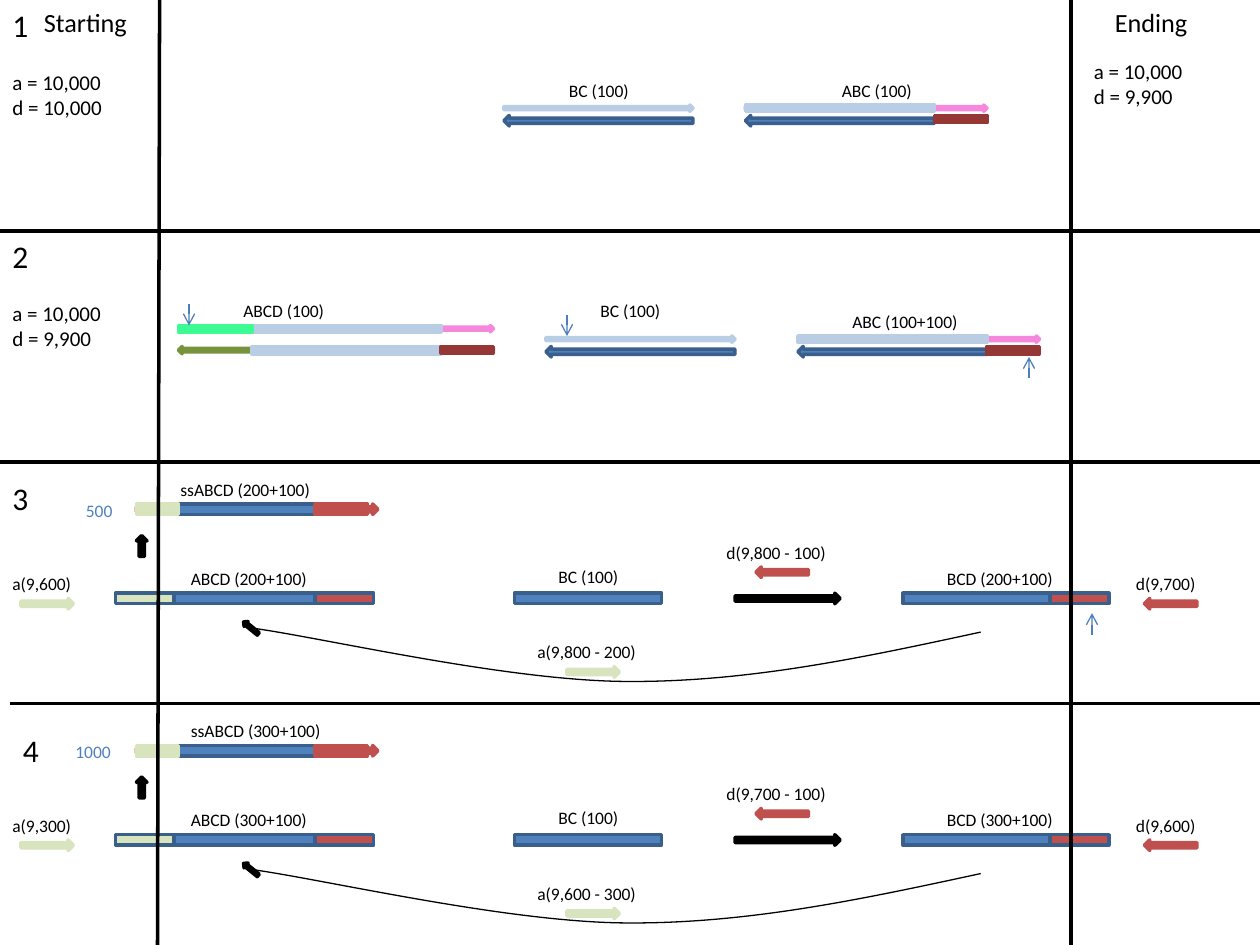
from lxml.etree import SubElement
from pptx import Presentation
from pptx.dml.color import RGBColor
from pptx.enum.shapes import MSO_CONNECTOR, MSO_SHAPE as Geo
from pptx.enum.text import MSO_AUTO_SIZE
from pptx.oxml.ns import qn
from pptx.util import Cm, Pt

STEP = 2.54 / 12
WIDTH, HEIGHT = 120, 90
STRAND = 18
TAIL = 5
BLACK, BLUE, NAVY = "000000", "4F81BD", "3A5F8C"
RED, MAROON, PINK = "C0504D", "953735", "F587DD"
PALE_BLUE, PALE_GREEN, GREEN, OLIVE = "B9CDE5", "D7E4BD", "3BFB92", "77933C"
MARKER = "4B7EBC"


def grid(steps):
    return Cm(steps * STEP)


def color(value):
    return RGBColor.from_string(value)


def bar(slide, geometry, left, top, width, fill, line=None, height=1.0):
    strand = slide.shapes.add_shape(
        geometry, grid(left), grid(top), grid(width), grid(height))
    strand.shadow.inherit = False
    strand.fill.solid()
    strand.fill.fore_color.rgb = color(fill)
    strand.line.color.rgb = color(line or fill)
    strand.line.width = Pt(2)
    return strand


def label(slide, text, left, top, width, size=10, ink=BLACK):
    lines = text.count("\n") + 1
    caption = slide.shapes.add_textbox(
        grid(left), grid(top), grid(width), grid(1.2 + lines * size / 5))
    frame = caption.text_frame
    frame.word_wrap = True
    frame.auto_size = MSO_AUTO_SIZE.SHAPE_TO_FIT_TEXT
    frame.text = text
    for paragraph in frame.paragraphs:
        for run in paragraph.runs:
            run.font.name = "Calibri"
            run.font.size = Pt(size)
            run.font.color.rgb = color(ink)


def rule(slide, start, end, ink=BLACK, width=2.0):
    line = slide.shapes.add_connector(
        MSO_CONNECTOR.STRAIGHT, *map(grid, start), *map(grid, end))
    line.line.color.rgb = color(ink)
    line.line.width = Pt(width)
    SubElement(line.element.spPr, qn("a:effectLst"))
    return line


def site_marker(slide, x, start, end):
    marker = rule(slide, (x, start), (x, end), MARKER, 0.75)
    SubElement(marker.line._get_or_add_ln(), qn("a:tailEnd"), type="arrow")


def return_curve(slide, left, top):
    points = [(93.4, 16.2), (82.3, 18.6), (71.2, 21), (59.5, 20.9),
              (48, 20.8), (30.6, 16.7), (23.9, 15.8)]
    corners = [(grid(left + x), grid(top + y)) for x, y in points]
    builder = slide.shapes.build_freeform(*corners[0])
    builder.add_line_segments(corners[1:], close=False)
    curve = builder.convert_to_shape()
    curve.shadow.inherit = False
    curve.fill.background()
    curve.line.color.rgb = color(BLACK)
    curve.line.width = Pt(0.75)
    outline = curve.element.find(".//" + qn("a:path"))
    segments = outline.findall(qn("a:lnTo"))
    for first in range(0, len(segments), 3):
        bezier = SubElement(outline, qn("a:cubicBezTo"))
        for segment in segments[first:first + 3]:
            bezier.append(segment[0])
            outline.remove(segment)
    head = bar(slide, Geo.RIGHT_ARROW, left + 23, top + 15.5, 1.8, BLACK, height=0.6)
    head.rotation = 219.2


def bc_duplex(slide, left, top):
    bar(slide, Geo.RIGHT_ARROW, left, top, STRAND, BLUE, PALE_BLUE, 0.6)
    bar(slide, Geo.LEFT_ARROW, left, top + 1, STRAND, BLUE, NAVY)


def abc_duplex(slide, left, top):
    bar(slide, Geo.LEFT_ARROW, left, top + 1, STRAND, BLUE, NAVY)
    bar(slide, Geo.RIGHT_ARROW, left, top, STRAND + TAIL, PINK, height=0.6)
    bar(slide, Geo.RECTANGLE, left, top, STRAND, PALE_BLUE, height=0.6)
    bar(slide, Geo.RECTANGLE, left + STRAND, top + 1, TAIL, MAROON, height=0.7)


def abcd_duplex(slide, left, top):
    core = left + 7
    bar(slide, Geo.RIGHT_ARROW, core, top, STRAND + TAIL, PINK, height=0.6)
    bar(slide, Geo.RECTANGLE, core, top, STRAND, PALE_BLUE, height=0.6)
    bar(slide, Geo.RECTANGLE, left, top, 7, GREEN, height=0.6)
    bar(slide, Geo.LEFT_ARROW, left, top + 2, 30, OLIVE, height=0.7)
    bar(slide, Geo.RECTANGLE, core, top + 2, STRAND, PALE_BLUE, height=0.7)
    bar(slide, Geo.RECTANGLE, core + STRAND, top + 2, TAIL, MAROON, height=0.6)


def first_round(slide, left, top):
    label(slide, "1", left, top, 4, 18)
    label(slide, "Starting", left + 3, top, 11, 15)
    label(slide, "Ending", left + 105, top, 11, 15)
    label(slide, "a = 10,000\nd = 10,000", left, top + 6, 15, 12)
    label(slide, "a = 10,000\nd = 9,900", left + 103, top + 5, 15, 12)
    label(slide, "BC (100)", left + 53, top + 7, 9)
    label(slide, "ABC (100)", left + 79, top + 7, 15)
    bc_duplex(slide, left + 48, top + 10)
    abc_duplex(slide, left + 71, top + 10)


def second_round(slide, left, top):
    label(slide, "2", left, top, 4, 18)
    label(slide, "a = 10,000\nd = 9,900", left, top + 6, 15, 12)
    label(slide, "ABCD (100)", left + 22, top + 6, 15)
    label(slide, "BC (100)", left + 56, top + 6, 9)
    label(slide, "ABC (100+100)", left + 80, top + 7, 16)
    abcd_duplex(slide, left + 17, top + 9)
    bc_duplex(slide, left + 52, top + 10)
    abc_duplex(slide, left + 76, top + 10)
    for x, start, end in [(18, 7, 9), (54, 8, 10), (98, 14, 12)]:
        site_marker(slide, left + x, top + start, top + end)


def cycle_round(slide, left, top, amounts):
    bars = [
        (Geo.RECTANGLE, 49, 12.5, 14, BLUE, NAVY),
        (Geo.RECTANGLE, 16, 12.5, 14, BLUE, NAVY),
        (Geo.RECTANGLE, 30, 12.5, 5.6, RED, NAVY),
        (Geo.RECTANGLE, 11, 12.5, 5.6, PALE_GREEN, NAVY),
        (Geo.RECTANGLE, 86, 12.5, 14, BLUE, NAVY),
        (Geo.RECTANGLE, 100, 12.5, 5.6, RED, NAVY),
        (Geo.RIGHT_ARROW, 70, 12.5, 10, BLACK),
        (Geo.LEFT_ARROW, 72, 10, TAIL, RED),
        (Geo.RIGHT_ARROW, 54, 19.5, TAIL, PALE_GREEN),
        (Geo.RIGHT_ARROW, 2, 13, TAIL, PALE_GREEN),
        (Geo.LEFT_ARROW, 109, 13, TAIL, RED),
        (Geo.RIGHT_ARROW, 13, 4, 23, RED),
        (Geo.RECTANGLE, 17, 4, 13, BLUE, NAVY),
        (Geo.RECTANGLE, 13, 4, 4, PALE_GREEN),
        (Geo.RECTANGLE, 30, 4, TAIL, RED),
    ]
    for geometry, x, y, width, *paint in bars:
        bar(slide, geometry, left + x, top + y, width, *paint)
    bar(slide, Geo.UP_ARROW, left + 13, top + 7, 1, BLACK, height=2)
    return_curve(slide, left, top)
    yield_count = amounts["yield"]
    captions = [
        ("BC (100)", 52, 9.3, 9),
        (f"BCD ({yield_count})", 89, 9.5, 13),
        (f"ABCD ({yield_count})", 17, 9.5, 15),
        (f"ssABCD ({yield_count})", amounts["single_x"], 1, 15),
        (f"d({amounts['d_used']})", 68, 7, 15),
        (f"a({amounts['a_used']})", 50, 16.5, 20),
        (f"a({amounts['a_left']})", 0, 10, 10),
        (f"d({amounts['d_left']})", 107, 10, 10),
    ]
    for text, x, y, width in captions:
        label(slide, text, left + x, top + y, width)


def dividers(slide):
    for x, y in [(0, 22), (0, 44), (1, 67)]:
        rule(slide, (x, y), (x + WIDTH, y))
    rule(slide, (15.2, 0), (15, HEIGHT))
    rule(slide, (102, 0), (102, HEIGHT))


def main():
    deck = Presentation()
    deck.slide_width, deck.slide_height = grid(WIDTH), grid(HEIGHT)
    slide = deck.slides.add_slide(deck.slide_layouts[6])
    third = {"yield": "200+100", "single_x": 16, "d_used": "9,800 - 100",
             "a_used": "9,800 - 200", "a_left": "9,600", "d_left": "9,700"}
    fourth = {"yield": "300+100", "single_x": 17, "d_used": "9,700 - 100",
              "a_used": "9,600 - 300", "a_left": "9,300", "d_left": "9,600"}
    cycle_round(slide, 0, 44, third)
    cycle_round(slide, 0, 67, fourth)
    site_marker(slide, 104, 60.5, 58.4)
    label(slide, "3", 0, 45, 4, 18)
    label(slide, "4", 1, 69, 4, 18)
    label(slide, "500", 7, 47, 5, ink=BLUE)
    label(slide, "1000", 6, 70, 6, ink=BLUE)
    first_round(slide, 0, 0)
    second_round(slide, 0, 22)
    dividers(slide)
    deck.save("out.pptx")


if __name__ == "__main__":
    main()
